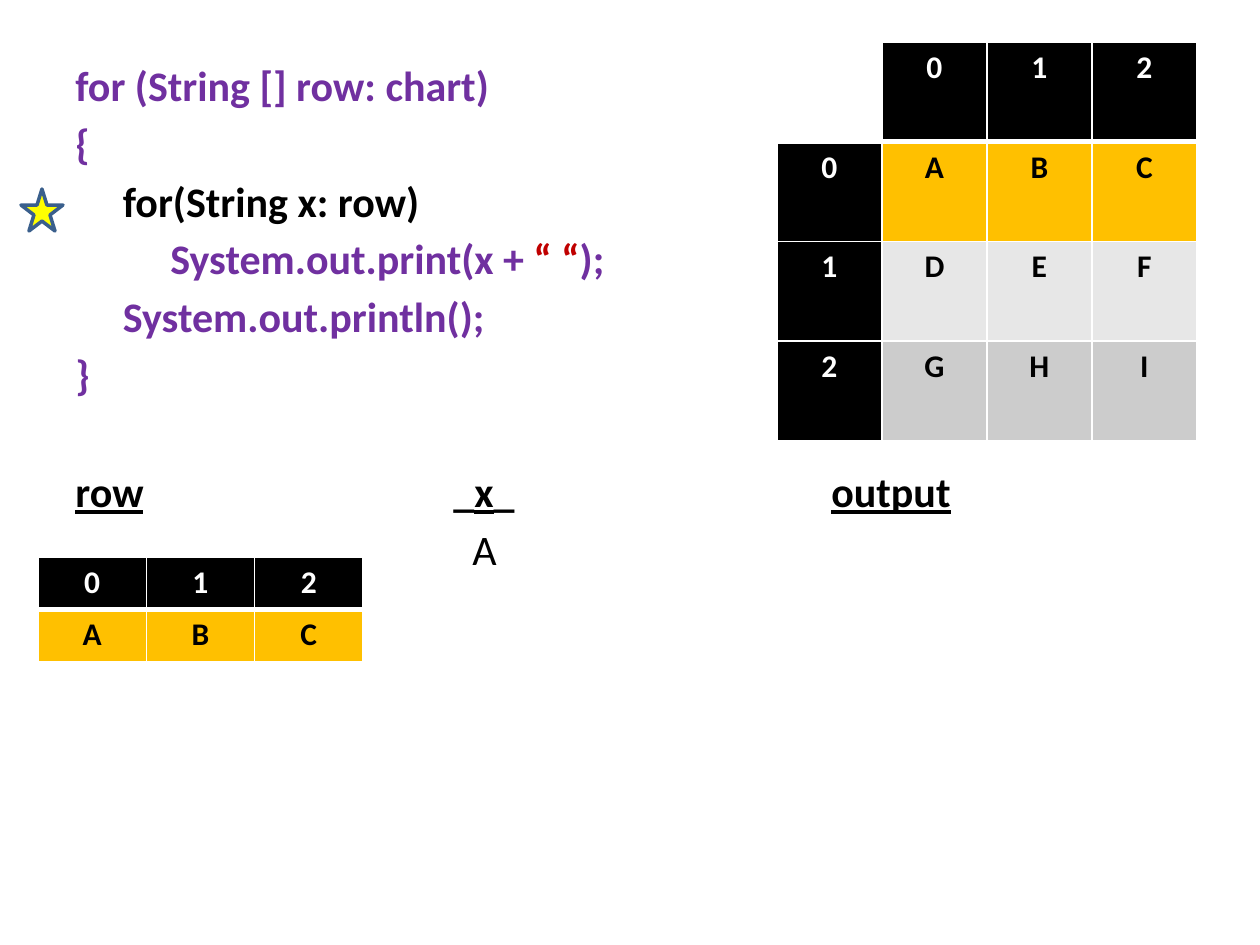
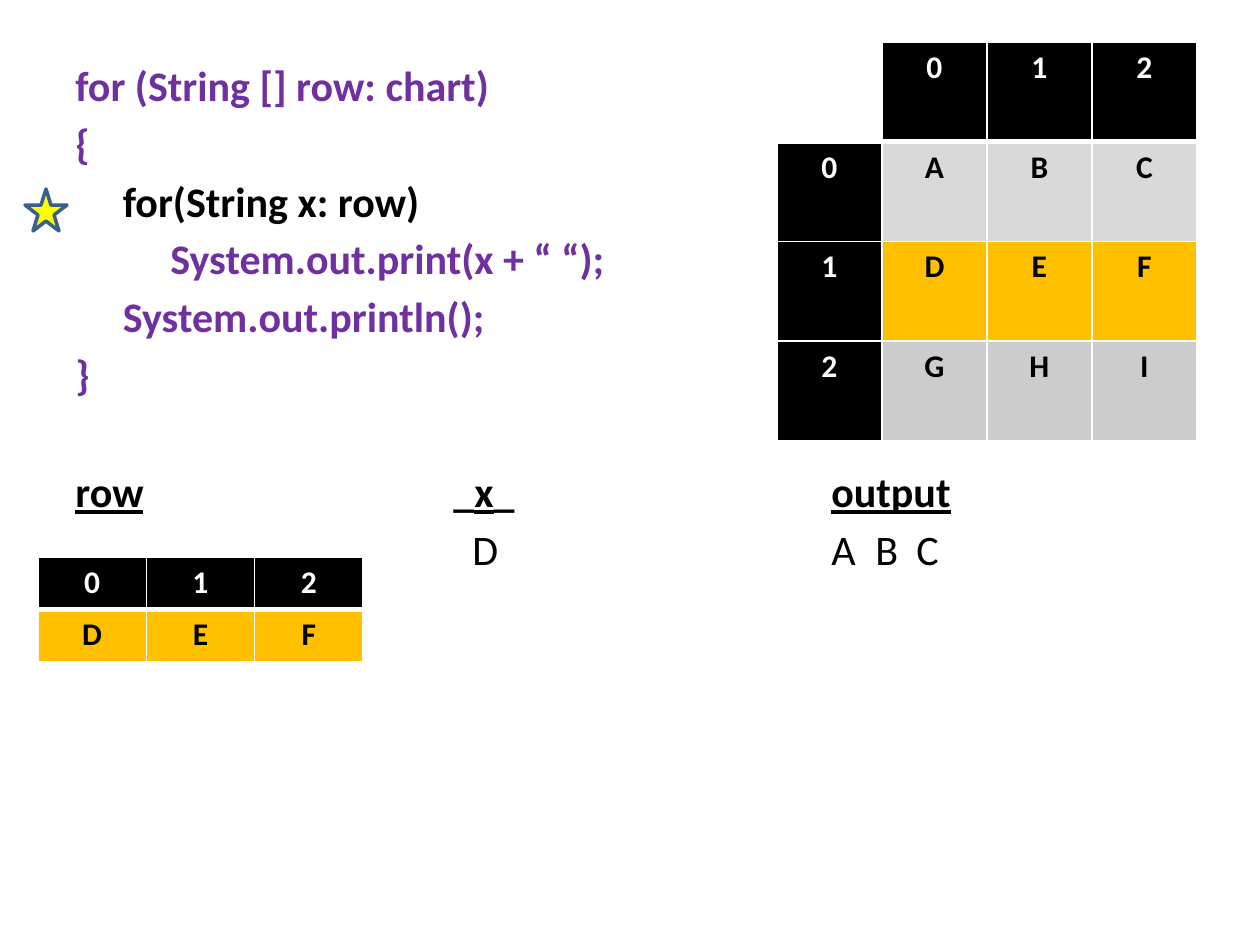
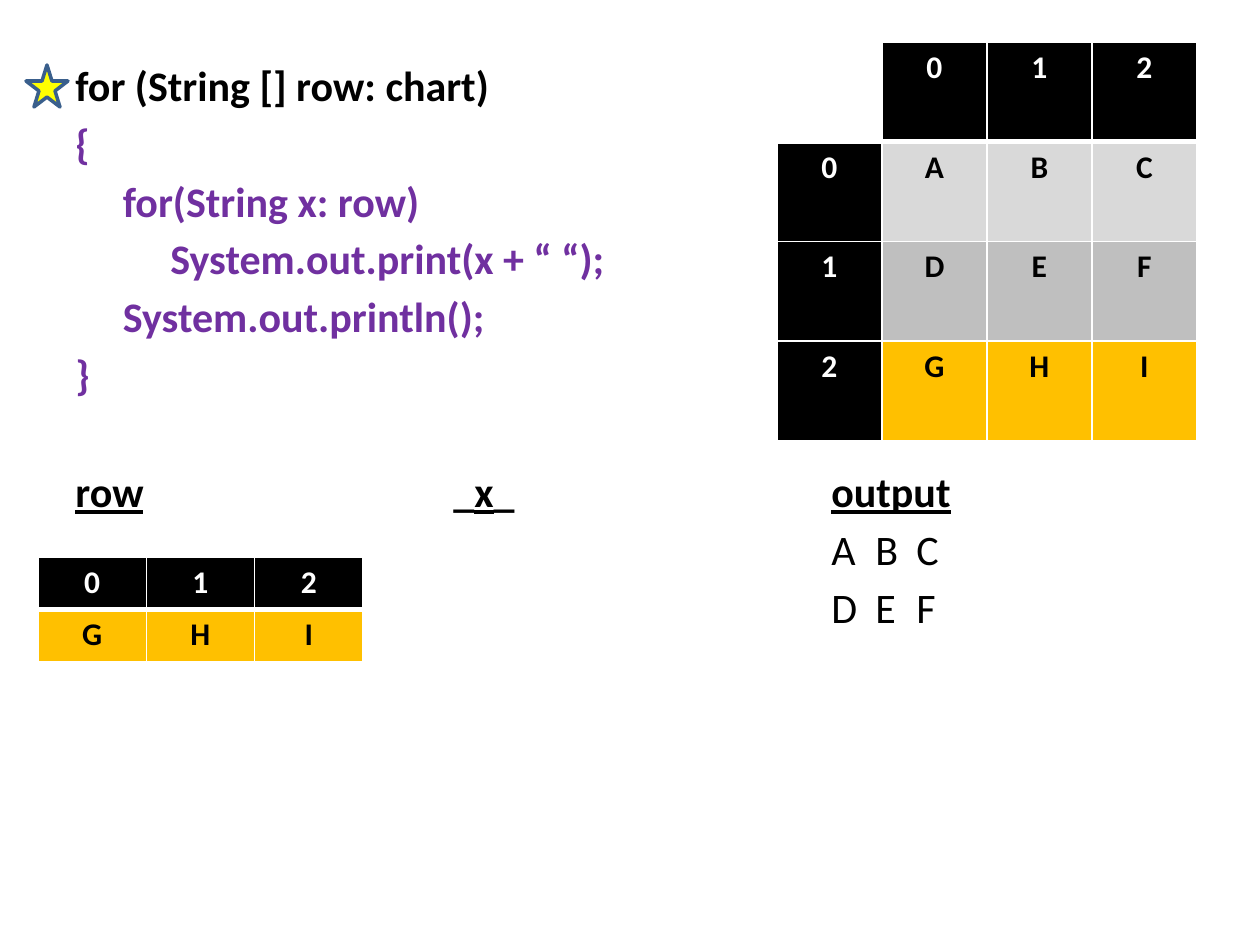
"""Build three slides tracing a nested for-each loop over a 2D array."""
import pptx
import pptx.dml.color
import pptx.enum.shapes
import pptx.enum.text
import pptx.oxml
import pptx.oxml.ns
import pptx.util

RGBColor = pptx.dml.color.RGBColor
Pt = pptx.util.Pt

PX = 914400 / 126
FONT = "Calibri"
WHITE = RGBColor(0xFF, 0xFF, 0xFF)
BLACK = RGBColor(0x00, 0x00, 0x00)
PURPLE = RGBColor(0x70, 0x30, 0xA0)
RED = RGBColor(0xC0, 0x00, 0x00)
GOLD = RGBColor(0xFF, 0xC0, 0x00)
YELLOW = RGBColor(0xFF, 0xFF, 0x00)
STAR_EDGE = RGBColor(0x3A, 0x5F, 0x8C)
PALE_GREY = RGBColor(0xE7, 0xE7, 0xE7)
LIGHT_GREY = RGBColor(0xD9, 0xD9, 0xD9)
MID_GREY = RGBColor(0xCC, 0xCC, 0xCC)
DARK_GREY = RGBColor(0xBF, 0xBF, 0xBF)

LINE_GAP = Pt(4.3)
SECTION_GAP = Pt(37.9)
HEADING_TABS = (378, 756)
VALUE_TABS = (397, 756, 800, 841)
INDEXES = ["0", "1", "2"]
CHART = ["ABC", "DEF", "GHI"]
CODE = [
    ["for (String [] row: chart)"],
    ["{"],
    ["     for(String x: row)"],
    ["          System.out.print(x + ", "“ “", ");"],
    ["     System.out.println();"],
    ["}"],
]
HEADINGS = [("row", True), ("\t_", False), ("x", True), ("_\t", False), ("output", True)]

STEPS = [
    {"row": 0, "fills": [GOLD, PALE_GREY, MID_GREY], "active_line": 2,
     "quotes": RED, "star": (21, 189), "values": ["\tA"]},
    {"row": 1, "fills": [LIGHT_GREY, GOLD, MID_GREY], "active_line": 2,
     "quotes": PURPLE, "star": (25, 189), "values": ["\tD\tA\tB\tC"]},
    {"row": 2, "fills": [LIGHT_GREY, DARK_GREY, GOLD], "active_line": 0,
     "quotes": PURPLE, "star": (26, 65), "values": ["\t\tA\tB\tC", "\t\tD\tE\tF"]},
]


def add_line(frame, pieces, gap=LINE_GAP, tabs=()):
    first = frame.paragraphs[0]
    paragraph = frame.add_paragraph() if first.runs else first
    if tabs:
        stops = "".join(f'<a:tab pos="{round(tab * PX)}" algn="l"/>' for tab in tabs)
        paragraph._p.get_or_add_pPr().append(pptx.oxml.parse_xml(
            f'<a:tabLst {pptx.oxml.ns.nsdecls("a")}>{stops}</a:tabLst>'))
    if paragraph is not first:
        paragraph.space_before = gap
    for text, color, bold, underline in pieces:
        run = paragraph.add_run()
        run.text = text
        run.font.name = FONT
        run.font.size = Pt(24)
        run.font.color.rgb = color
        run.font.bold = bold
        run.font.underline = underline


def add_grid(slide, labels, fills, box):
    grid = slide.shapes.add_table(
        len(labels), len(labels[0]), *(round(side * PX) for side in box)).table
    grid.horz_banding = False
    for r, row_labels in enumerate(labels):
        for c, label in enumerate(row_labels):
            cell = grid.cell(r, c)
            widths = {"lnL": 1, "lnR": 1, "lnT": 3 if r == 1 else 1, "lnB": 3 if r == 0 else 1}
            for edge, width in widths.items():
                cell._tc.get_or_add_tcPr().append(pptx.oxml.parse_xml(
                    f'<a:{edge} {pptx.oxml.ns.nsdecls("a")} w="{Pt(width)}">'
                    f'<a:solidFill><a:srgbClr val="{WHITE}"/></a:solidFill></a:{edge}>'))
            cell.fill.solid()
            cell.fill.fore_color.rgb = fills[r][c]
            cell.text_frame.text = label
            paragraph = cell.text_frame.paragraphs[0]
            paragraph.alignment = pptx.enum.text.PP_ALIGN.CENTER
            for run in paragraph.runs:
                run.font.name = FONT
                run.font.size = Pt(18)
                run.font.bold = True
                run.font.color.rgb = WHITE if fills[r][c] == BLACK else BLACK


deck = pptx.Presentation()
deck.slide_width = round(1260 * PX)
deck.slide_height = round(945 * PX)

for step in STEPS:
    slide = deck.slides.add_slide(deck.slide_layouts[6])

    trace = slide.shapes.add_textbox(*(round(side * PX) for side in (63, 53, 1134, 791))).text_frame
    trace.word_wrap = True
    for number, pieces in enumerate(CODE):
        color = BLACK if number == step["active_line"] else PURPLE
        add_line(trace, [(text, step["quotes"] if text == "“ “" else color, True, False)
                         for text in pieces])
    add_line(trace, [(text, BLACK, True, underline) for text, underline in HEADINGS],
             SECTION_GAP, HEADING_TABS)
    for values in step["values"]:
        add_line(trace, [(values, BLACK, False, False)], tabs=VALUE_TABS)

    chart_labels = [["", *INDEXES]] + [[index, *row] for index, row in zip(INDEXES, CHART)]
    chart_fills = [[WHITE] + [BLACK] * 3] + [[BLACK] + [fill] * 3 for fill in step["fills"]]
    add_grid(slide, chart_labels, chart_fills, (777, 42, 420, 399))

    left, top = step["star"]
    star = slide.shapes.add_shape(
        pptx.enum.shapes.MSO_SHAPE.STAR_5_POINT,
        *(round(side * PX) for side in (left, top, 42, 42)))
    star.shadow.inherit = False
    star.fill.solid()
    star.fill.fore_color.rgb = YELLOW
    star.line.color.rgb = STAR_EDGE
    star.line.width = Pt(2)

    add_grid(slide, [INDEXES, CHART[step["row"]]], [[BLACK] * 3, [GOLD] * 3], (38, 557, 325, 105))

deck.save("out.pptx")
